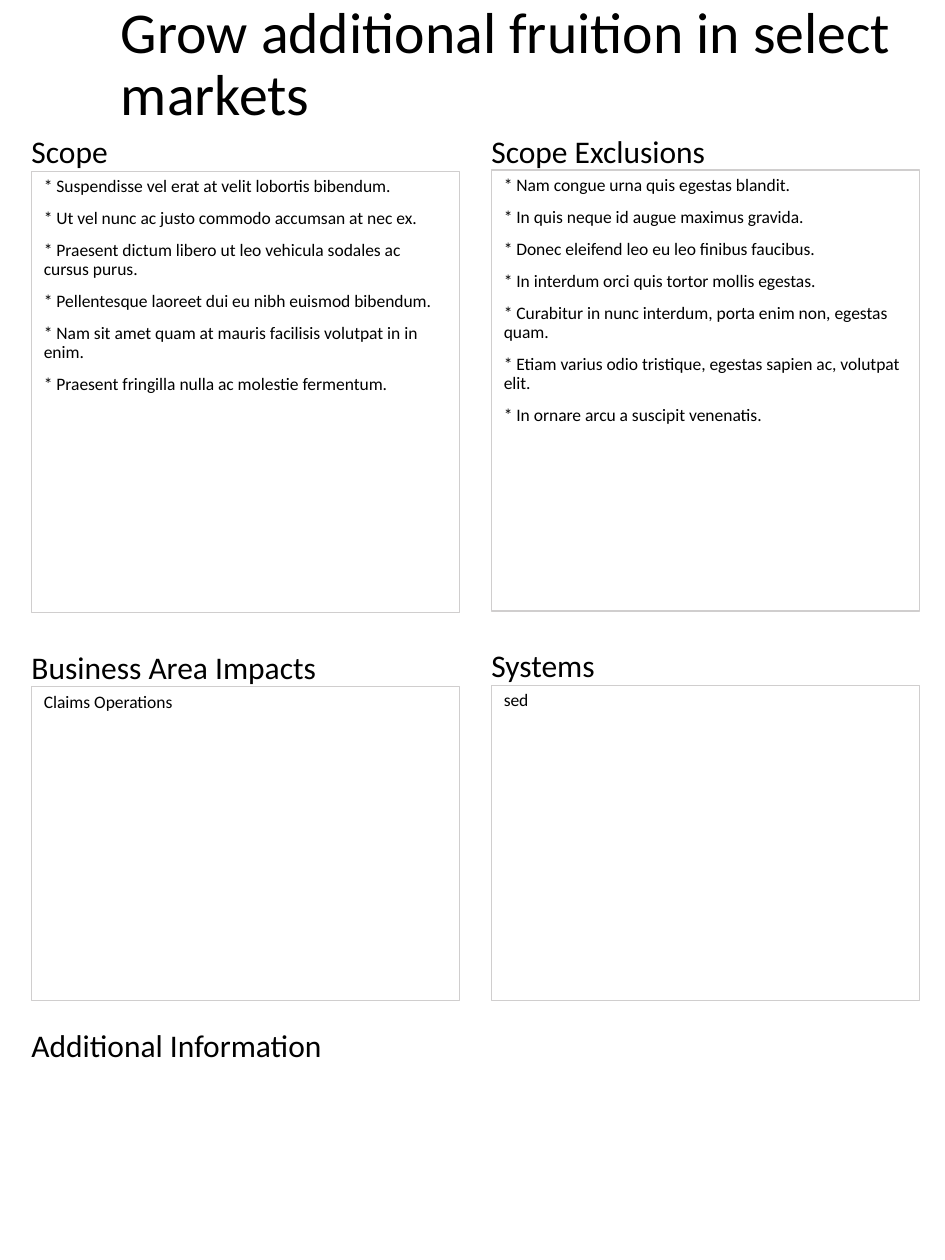
"""Build a one-page project scope slide with four framed sections."""
from pptx import Presentation
from pptx.dml.color import RGBColor
from pptx.enum.shapes import MSO_SHAPE
from pptx.enum.text import MSO_ANCHOR, PP_ALIGN
from pptx.util import Inches, Pt

RECT = MSO_SHAPE.RECTANGLE
TOP, MIDDLE = MSO_ANCHOR.TOP, MSO_ANCHOR.MIDDLE
LEFT = PP_ALIGN.LEFT
BLACK = RGBColor(0x00, 0x00, 0x00)
GRAY = RGBColor(0xD0, 0xCE, 0xCE)
FONT = "Calibri"
COL_X = (0.25, 3.9)
COL_W = 3.4
HEADING_H = 0.3

SCOPE = [
    "* Suspendisse vel erat at velit lobortis bibendum.",
    "* Ut vel nunc ac justo commodo accumsan at nec ex.",
    "* Praesent dictum libero ut leo vehicula sodales ac cursus purus.",
    "* Pellentesque laoreet dui eu nibh euismod bibendum.",
    "* Nam sit amet quam at mauris facilisis volutpat in in enim.",
    "* Praesent fringilla nulla ac molestie fermentum.",
]
EXCLUSIONS = [
    "* Nam congue urna quis egestas blandit.",
    "* In quis neque id augue maximus gravida.",
    "* Donec eleifend leo eu leo finibus faucibus.",
    "* In interdum orci quis tortor mollis egestas.",
    "* Curabitur in nunc interdum, porta enim non, egestas quam.",
    "* Etiam varius odio tristique, egestas sapien ac, volutpat elit.",
    "* In ornare arcu a suscipit venenatis.",
]
SECTIONS = [
    ("Scope", 0, 1.05, 1.36, 3.5, SCOPE),
    ("Scope Exclusions", 1, 1.05, 1.35, 3.5, EXCLUSIONS),
    ("Business Area Impacts", 0, 5.14, 5.45, 2.49, ["Claims Operations"]),
    ("Systems", 1, 5.13, 5.44, 2.5, ["sed"]),
]


def write(tf, lines, size, anchor=TOP, spacing=None, before=None):
    tf.word_wrap = True
    tf.vertical_anchor = anchor
    for i, line in enumerate(lines):
        p = tf.add_paragraph() if i else tf.paragraphs[0]
        p.alignment = LEFT
        if spacing:
            p.line_spacing = spacing
        if before:
            p.space_before = Pt(before)
        r = p.add_run()
        r.text = line
        r.font.name = FONT
        r.font.size = Pt(size)
        r.font.color.rgb = BLACK


def add_label(s, text, x, y, w, h, size=18, **fmt):
    tf = s.shapes.add_textbox(Inches(x), Inches(y), Inches(w), Inches(h)).text_frame
    tf.margin_left = tf.margin_right = tf.margin_top = tf.margin_bottom = 0
    write(tf, [text], size, **fmt)


def add_panel(s, lines, x, y, w, h):
    sp = s.shapes.add_shape(RECT, Inches(x), Inches(y), Inches(w), Inches(h))
    sp.shadow.inherit = False
    sp.fill.background()
    sp.line.color.rgb = GRAY
    sp.line.width = Pt(0.75)
    write(sp.text_frame, lines, 10, spacing=0.9, before=7.5)


def main():
    prs = Presentation()
    prs.slide_width, prs.slide_height = Inches(7.5), Inches(10)
    s = prs.slides.add_slide(prs.slide_layouts[6])
    add_label(s, "Grow additional fruition in select markets", 0.96, 0.27, 6.25, 0.5,
              size=33, anchor=MIDDLE, spacing=0.9)
    for heading, col, heading_y, panel_y, panel_h, lines in SECTIONS:
        add_label(s, heading, COL_X[col], heading_y, COL_W, HEADING_H)
        add_panel(s, lines, COL_X[col], panel_y, COL_W, panel_h)
    add_label(s, "Additional Information", COL_X[0], 8.14, COL_W, HEADING_H)
    prs.save("out.pptx")


main()
